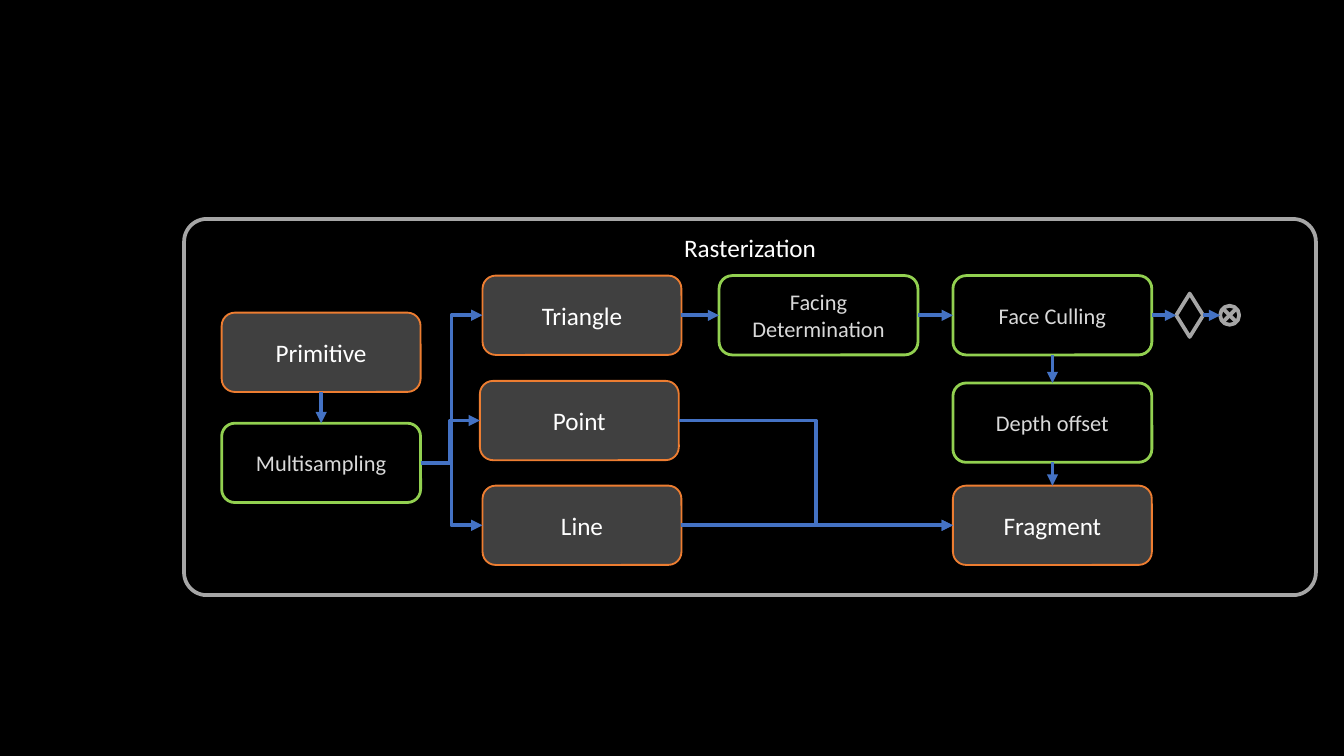
import pptx
import pptx.util
import pptx.dml.color
import pptx.enum.shapes
import pptx.enum.text
import pptx.oxml
import pptx.oxml.ns

Cm = pptx.util.Cm
Pt = pptx.util.Pt
RGB = pptx.dml.color.RGBColor.from_string
SHAPE = pptx.enum.shapes.MSO_SHAPE
CONNECTOR = pptx.enum.shapes.MSO_CONNECTOR
ANCHOR = pptx.enum.text.MSO_ANCHOR

COLORS = {
    "background": "000000",
    "frame": "A6A6A6",
    "data": "404040",
    "data_line": "ED7D31",
    "step": "000000",
    "step_line": "92D050",
    "arrow": "4472C4",
    "white": "FFFFFF",
    "light": "D9D9D9",
}


def write_text(shape, text, size=13.5, color="white", anchor=ANCHOR.MIDDLE):
    frame = shape.text_frame
    frame.word_wrap = True
    frame.vertical_anchor = anchor
    para = frame.paragraphs[0]
    para.alignment = pptx.enum.text.PP_ALIGN.CENTER
    span = para.add_run()
    span.text = text
    span.font.name = "Calibri"
    span.font.size = Pt(size)
    span.font.color.rgb = RGB(COLORS[color])


def add_outline(kind, left, top, width, height, line, weight, fill=None):
    shape = page.shapes.add_shape(kind, Cm(left), Cm(top), Cm(width), Cm(height))
    shape.shadow.inherit = False
    if fill:
        shape.fill.solid()
        shape.fill.fore_color.rgb = RGB(COLORS[fill])
    else:
        shape.fill.background()
    shape.line.color.rgb = RGB(COLORS[line])
    shape.line.width = Pt(weight)
    return shape


deck = pptx.Presentation()
deck.slide_width = Cm(25.4)
deck.slide_height = Cm(14.29)
page = deck.slides.add_slide(deck.slide_layouts[6])
page.background.fill.solid()
page.background.fill.fore_color.rgb = RGB(COLORS["background"])

stage = add_outline(SHAPE.ROUNDED_RECTANGLE, 3.48, 4.14, 21.39, 7.11, "frame", 2)
stage.adjustments[0] = 0.06
write_text(stage, "Rasterization", anchor=ANCHOR.TOP)

nodes = {}
for name, kind, left, top in [
    ("Primitive", "data", 4.19, 5.91),
    ("Multisampling", "step", 4.19, 8),
    ("Triangle", "data", 9.12, 5.21),
    ("Point", "data", 9.07, 7.2),
    ("Line", "data", 9.12, 9.18),
    ("Facing Determination", "step", 13.59, 5.21),
    ("Face Culling", "step", 18.01, 5.21),
    ("Depth offset", "step", 18.01, 7.24),
    ("Fragment", "data", 18.01, 9.18),
]:
    is_data = kind == "data"
    box = add_outline(SHAPE.ROUNDED_RECTANGLE, left, top, 3.76, 1.5,
                      kind + "_line", 1 if is_data else 1.5, fill=kind)
    write_text(box, name, size=13.5 if is_data else 12,
               color="white" if is_data else "light")
    nodes[name] = box

nodes["decision"] = add_outline(SHAPE.DIAMOND, 22.23, 5.55, 0.51, 0.82, "frame", 2)
add_outline(SHAPE.FLOWCHART_SUMMING_JUNCTION, 23.06, 5.78, 0.36, 0.36, "frame", 2)

TOP, LEFT, BOTTOM, RIGHT = range(4)
arrows = []
for source, start, target, end, kind in [
    ("Primitive", BOTTOM, "Multisampling", TOP, CONNECTOR.STRAIGHT),
    ("Multisampling", RIGHT, "Triangle", LEFT, CONNECTOR.ELBOW),
    ("Multisampling", RIGHT, "Point", LEFT, CONNECTOR.ELBOW),
    ("Multisampling", RIGHT, "Line", LEFT, CONNECTOR.ELBOW),
    ("Triangle", RIGHT, "Facing Determination", LEFT, CONNECTOR.STRAIGHT),
    ("Facing Determination", RIGHT, "Face Culling", LEFT, CONNECTOR.STRAIGHT),
    ("Face Culling", RIGHT, "decision", LEFT, CONNECTOR.STRAIGHT),
    ("Face Culling", BOTTOM, "Depth offset", TOP, CONNECTOR.STRAIGHT),
    ("Depth offset", BOTTOM, "Fragment", TOP, CONNECTOR.STRAIGHT),
    ("Point", RIGHT, "Fragment", LEFT, CONNECTOR.ELBOW),
    ("Line", RIGHT, "Fragment", LEFT, CONNECTOR.STRAIGHT),
]:
    arrow = page.shapes.add_connector(kind, 0, 0, 0, 0)
    arrow.begin_connect(nodes[source], start)
    arrow.end_connect(nodes[target], end)
    arrows.append(arrow)

arrows.append(page.shapes.add_connector(
    CONNECTOR.STRAIGHT, Cm(22.74), Cm(5.96), Cm(23.06), Cm(5.96)))

for arrow in arrows:
    arrow.line.color.rgb = RGB(COLORS["arrow"])
    arrow.line.width = Pt(2)
    head = pptx.oxml.parse_xml(
        f'<a:tailEnd {pptx.oxml.ns.nsdecls("a")} type="triangle"/>')
    arrow.line._get_or_add_ln().append(head)
    effects = pptx.oxml.parse_xml(f'<a:effectLst {pptx.oxml.ns.nsdecls("a")}/>')
    arrow._element.spPr.append(effects)

deck.save("out.pptx")
